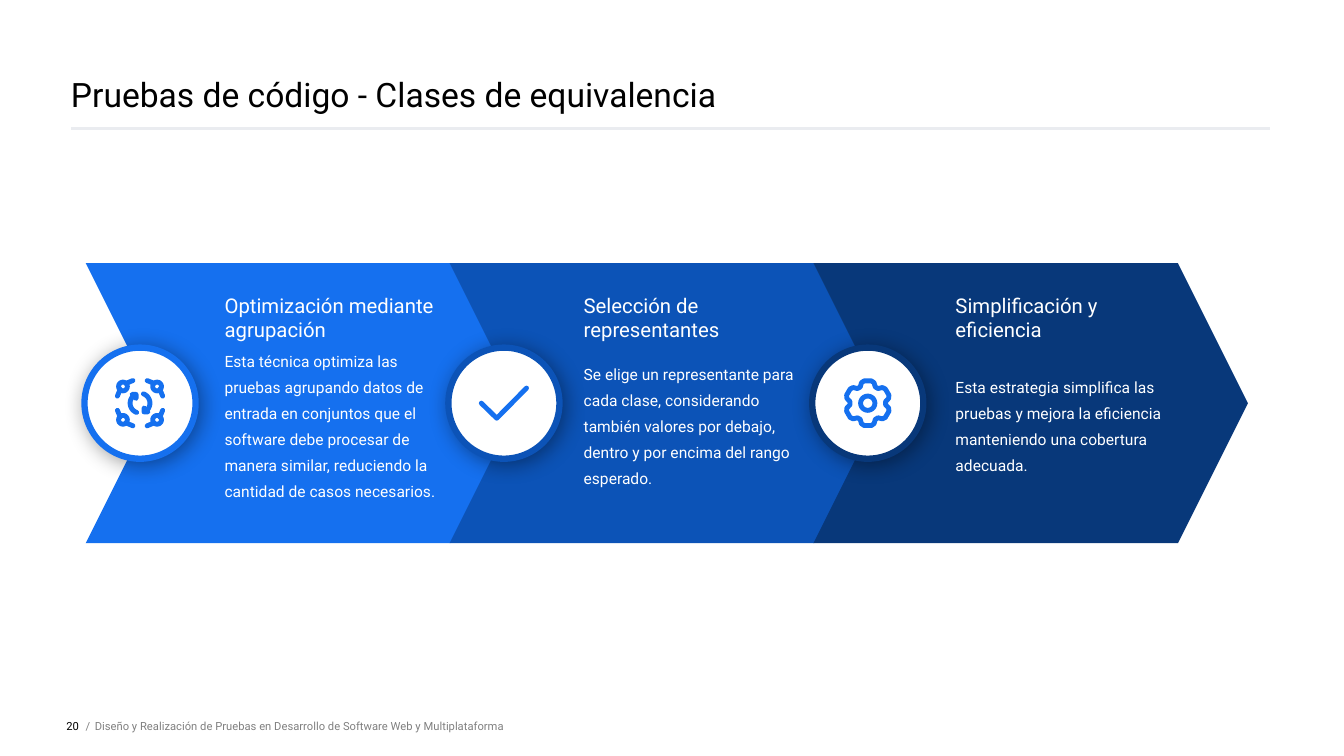
import math
from dataclasses import dataclass

import lxml.etree
import pptx
import pptx.dml.color
import pptx.enum.shapes
import pptx.enum.text
import pptx.oxml
import pptx.oxml.ns
import pptx.util

Cm, Pt = pptx.util.Cm, pptx.util.Pt
RGB = pptx.dml.color.RGBColor.from_string
SHAPE = pptx.enum.shapes.MSO_SHAPE
ANCHOR = pptx.enum.text.MSO_ANCHOR
ALIGN = pptx.enum.text.PP_ALIGN
qn = pptx.oxml.ns.qn
Points = list[tuple[float, float]]


@dataclass(frozen=True)
class Theme:
    font: str = "Roboto"
    white: str = "FFFFFF"
    black: str = "000000"
    grey: str = "808080"
    rule: str = "EAECF0"
    blue: str = "1570EF"
    mid_blue: str = "0C53B7"
    navy: str = "08387A"
    title: float = 24
    heading: float = 14.5
    body: float = 11.1
    footer: float = 8


@dataclass(frozen=True)
class Contour:
    """Points in centimetres from the icon's centre."""
    points: Points
    closed: bool = False


@dataclass(frozen=True)
class Step:
    heading: str
    body: str
    color: str
    text_left: float
    icon: list[Contour]


T = Theme()
PITCH, CENTER_Y = 9.17, 10.16
CHEVRON_LEFT, CHEVRON_W, CHEVRON_H = 2.16, 10.95, 7.06
BADGE_X, BADGE_R = 3.53, 1.4
STROKE = 3.5
SHADOW = (
    '<a:effectLst xmlns:a="http://schemas.openxmlformats.org/drawingml/2006/main">'
    '<a:outerShdw blurRad="200660" dist="38100" dir="2700000" algn="ctr" rotWithShape="0">'
    '<a:srgbClr val="000000"><a:alpha val="40000"/></a:srgbClr></a:outerShdw></a:effectLst>'
)

prs = pptx.Presentation()
prs.slide_width, prs.slide_height = Cm(33.87), Cm(19.05)
s = prs.slides.add_slide(prs.slide_layouts[6])


def add_text(text: str, box: tuple[float, float, float, float], size: float, color: str,
             anchor: ANCHOR = ANCHOR.MIDDLE, **paragraph_format: object) -> None:
    tf = s.shapes.add_textbox(*map(Cm, box)).text_frame
    frame = dict(word_wrap=True, vertical_anchor=anchor, margin_left=0,
                 margin_right=0, margin_top=0, margin_bottom=0)
    p = tf.paragraphs[0]
    r = p.add_run()
    r.text = text
    font = dict(name=T.font, size=Pt(size))
    for target, values in ((tf, frame), (p, paragraph_format), (r.font, font)):
        for name, value in values.items():
            setattr(target, name, value)
    r.font.color.rgb = RGB(color)


def add_filled(kind: SHAPE, x: float, y: float, w: float, h: float, color: str):
    sp = s.shapes.add_shape(kind, Cm(x), Cm(y), Cm(w), Cm(h))
    sp.shadow.inherit = False
    sp.fill.solid()
    sp.fill.fore_color.rgb = RGB(color)
    sp.line.fill.background()
    return sp


def set_line(sp, color: str, width: float) -> None:
    sp.line.color.rgb = RGB(color)
    sp.line.width = Pt(width)


def add_icon(contours: list[Contour], cx: float, cy: float) -> None:
    builder = s.shapes.build_freeform()
    for contour in contours:
        start, *rest = [(Cm(cx + x), Cm(cy + y)) for x, y in contour.points]
        builder.move_to(*start)
        builder.add_line_segments(rest, close=contour.closed)
    sp = builder.convert_to_shape()
    # Drop the empty first contour at the slide's corner
    sp.shadow.inherit = False
    sp.fill.background()
    set_line(sp, T.blue, STROKE)
    ln = sp.line._get_or_add_ln()
    ln.set("cap", "rnd")
    lxml.etree.SubElement(ln, qn("a:round"))


def polar(radius: float, degrees: float) -> tuple[float, float]:
    a = math.radians(degrees)
    return radius * math.cos(a), radius * math.sin(a)


def ring(x: float, y: float, radius: float) -> Contour:
    circle = [polar(radius, a) for a in range(0, 360, 15)]
    return Contour([(x + dx, y + dy) for dx, dy in circle], closed=True)


def grouping_icon() -> list[Contour]:
    contours = []
    # Corner nodes with their two tails
    for sx in (-1, 1):
        for sy in (-1, 1):
            for tail in ([(0.18, 0.57), (0.35, 0.5)], [(0.57, 0.18), (0.5, 0.35)]):
                contours.append(Contour([(sx * x, sy * y) for x, y in tail]))
            contours.append(ring(sx * 0.43, sy * 0.42, 0.11))
    # Two turning arrows
    for sign in (1, -1):
        head = [(-0.2, -0.22), (-0.1, -0.22), (-0.1, -0.12)]
        contours.append(Contour([polar(0.25 * sign, a) for a in range(110, 221, 10)]))
        contours.append(Contour([(sign * x, sign * y) for x, y in head], closed=True))
    return contours


def gear_icon() -> list[Contour]:
    tooth = ((-17, 0.54), (-9, 0.57), (9, 0.57), (17, 0.54), (25, 0.45), (35, 0.45))
    rim = [polar(radius, turn + offset) for turn in range(-90, 270, 60)
           for offset, radius in tooth]
    return [Contour(rim, closed=True), ring(0, 0, 0.18)]


CHECK_ICON = [Contour([(-0.57, 0), (-0.18, 0.38), (0.57, -0.38)])]

STEPS = [
    Step("Optimización mediante agrupación",
         "Esta técnica optimiza las pruebas agrupando datos de entrada en conjuntos que el "
         "software debe procesar de manera similar, reduciendo la cantidad de casos necesarios.",
         T.blue, 5.66, grouping_icon()),
    Step("Selección de representantes",
         "Se elige un representante para cada clase, considerando también valores por debajo, "
         "dentro y por encima del rango esperado.",
         T.mid_blue, 14.71, CHECK_ICON),
    Step("Simplificación y eficiencia",
         "Esta estrategia simplifica las pruebas y mejora la eficiencia manteniendo una "
         "cobertura adecuada.",
         T.navy, 24.08, gear_icon()),
]

# Title and rule
rule = s.shapes.add_connector(pptx.enum.shapes.MSO_CONNECTOR.STRAIGHT,
                              Cm(1.79), Cm(3.24), Cm(32), Cm(3.24))
set_line(rule, T.rule, 2)
lxml.etree.SubElement(rule._element.spPr, qn("a:effectLst"))
add_text("Pruebas de código - Clases de equivalencia", (1.79, 0, 30.33, 2.87),
         T.title, T.black, ANCHOR.BOTTOM)

# Footer
add_text("20", (1.2, 17.53, 0.79, 1.52), T.footer, T.black, alignment=ALIGN.RIGHT)
add_text("/", (2.16, 17.53, 0.22, 1.52), T.footer, T.grey)
add_text("Diseño y Realización de Pruebas en Desarrollo de Software Web y Multiplataforma",
         (2.39, 17.53, 21.87, 1.52), T.footer, T.grey)

# Chevron band
for i, step in enumerate(STEPS):
    sp = add_filled(SHAPE.CHEVRON, CHEVRON_LEFT + i * PITCH, CENTER_Y - CHEVRON_H / 2,
                    CHEVRON_W, CHEVRON_H, step.color)
    sp.adjustments[0] = 0.25

# Badges, icons and texts
for i, step in enumerate(STEPS):
    cx = BADGE_X + i * PITCH
    badge = add_filled(SHAPE.OVAL, cx - BADGE_R, CENTER_Y - BADGE_R,
                       2 * BADGE_R, 2 * BADGE_R, T.white)
    set_line(badge, step.color, 4.5)
    spPr = badge._element.spPr
    spPr.replace(spPr.find(qn("a:effectLst")), pptx.oxml.parse_xml(SHADOW))
    add_icon(step.icon, cx, CENTER_Y)
    add_text(step.heading, (step.text_left, 7.47, 5.36, 1.14), T.heading, T.white, ANCHOR.BOTTOM)
    add_text(step.body, (step.text_left, 8.79, 5.36, 3.71), T.body, T.white,
             line_spacing=1.4, space_after=Pt(T.body))

prs.save("out.pptx")
